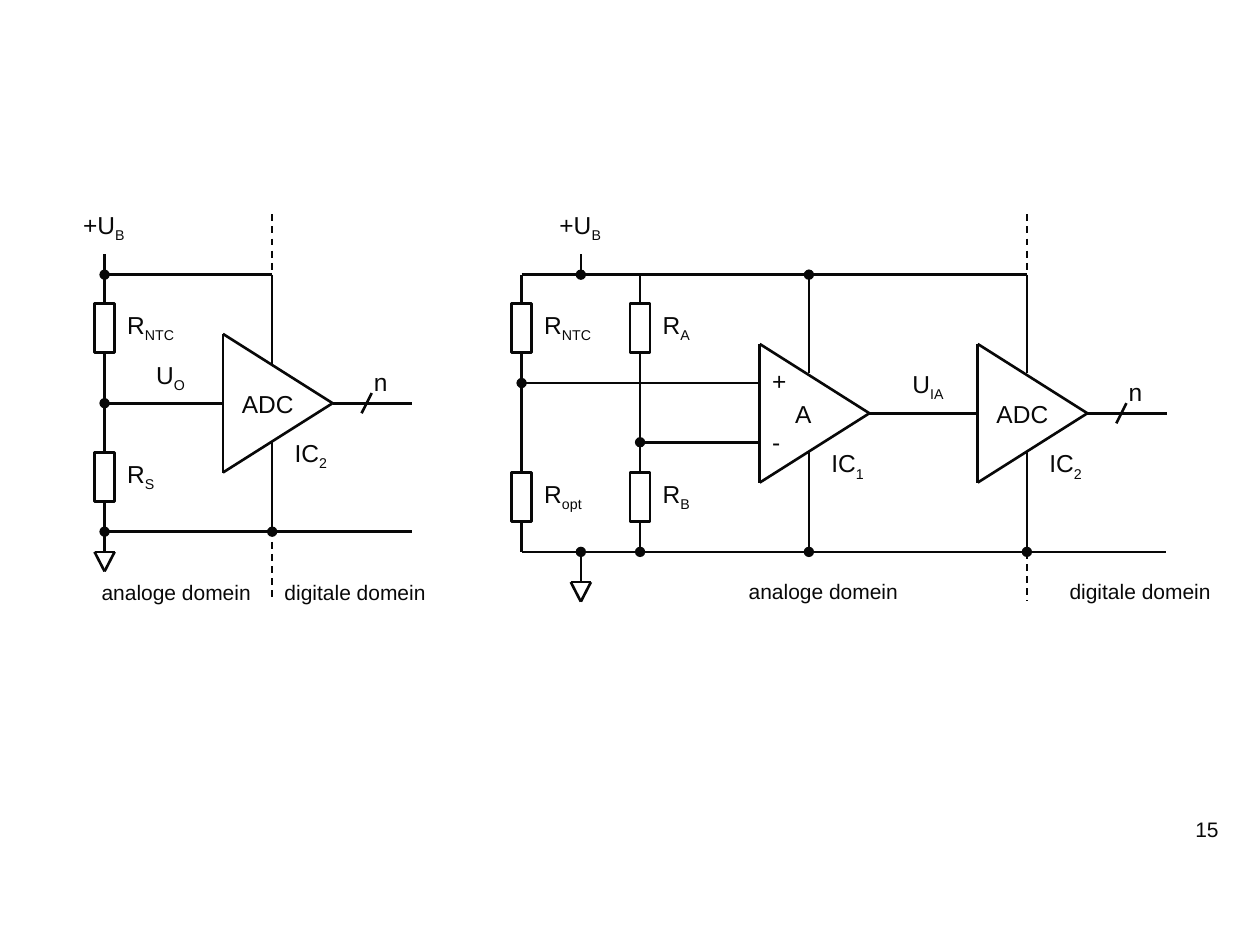
from pptx import Presentation
from pptx.dml.color import RGBColor
from pptx.enum.dml import MSO_LINE
from pptx.enum.shapes import MSO_CONNECTOR, MSO_SHAPE
from pptx.enum.text import MSO_ANCHOR, MSO_AUTO_SIZE, PP_ALIGN
from pptx.oxml.ns import qn
from pptx.util import Inches, Pt
from lxml.etree import SubElement

INK = "080808"
LEFT, MID, RIGHT = PP_ALIGN.LEFT, PP_ALIGN.CENTER, PP_ALIGN.RIGHT

deck = Presentation()
deck.slide_width, deck.slide_height = Inches(10), Inches(7.5)
slide = deck.slides.add_slide(deck.slide_layouts[6])
shapes = slide.shapes
ports = {}  # (x, y) of a resistor end -> (resistor, site)


def wire(x1, y1, x2, y2, dot=False, dash=False):
    """Draw a line, joined to any resistor end it meets; a dot marks its start."""
    link = shapes.add_connector(MSO_CONNECTOR.STRAIGHT, Inches(x1), Inches(y1),
                                Inches(x2), Inches(y2))
    if (x1, y1) in ports:
        link.begin_connect(*ports[x1, y1])
    if (x2, y2) in ports:
        link.end_connect(*ports[x2, y2])
    link.line.color.rgb = RGBColor.from_string(INK)
    link.line.width = Pt(1 if dash else 1.5)
    if dash:
        link.line.dash_style = MSO_LINE.DASH
    props = link._element.spPr
    if dot:
        SubElement(props.find(qn("a:ln")), qn("a:headEnd"), type="oval")
    SubElement(props, qn("a:effectLst"))


def label(x, y, w, h, text, sub="", align=LEFT, size=14, gap=8.8):
    """Write a label with an optional subscript."""
    box = shapes.add_textbox(Inches(x), Inches(y), Inches(w), Inches(h))
    frame = box.text_frame
    frame.word_wrap = True
    frame.vertical_anchor = MSO_ANCHOR.TOP
    if gap:
        frame.auto_size = MSO_AUTO_SIZE.SHAPE_TO_FIT_TEXT
    par = frame.paragraphs[0]
    par.text = text
    par.alignment = align
    par.space_before = Pt(gap)
    if sub:
        run = par.add_run()
        run.text = sub
        run.font._element.set("baseline", "-25000")
    for run in par.runs:
        run.font.name = "Arial"
        run.font.size = Pt(size)
        run.font.color.rgb = RGBColor.from_string(INK)


# Resistors: centre x, top, subscript
for x, y, sub in [(4.14, 2.41, "NTC"), (4.14, 3.75, "opt"),
                  (5.08, 2.41, "A"), (5.08, 3.75, "B"),
                  (0.83, 2.41, "NTC"), (0.83, 3.59, "S")]:
    part = shapes.add_shape(MSO_SHAPE.RECTANGLE, Inches(x - 0.08), Inches(y),
                            Inches(0.16), Inches(0.39))
    part.shadow.inherit = False
    part.fill.background()
    part.line.color.rgb = RGBColor.from_string(INK)
    part.line.width = Pt(1.5)
    ports[x, y] = part, 0
    ports[x, round(y + 0.39, 2)] = part, 2
    label(x + 0.08, y, 0.71, 0.37, "R", sub)

# Amplifier and converters: left edge, axis, text, text x and width, IC number
for x, y, text, dx, w, num in [(6.03, 3.28, "A", 0.15, 0.39, "1"),
                               (7.76, 3.28, "ADC", -0.08, 0.87, "2"),
                               (1.77, 3.2, "ADC", -0.08, 0.87, "2")]:
    top, low, tip = y - 0.55, y + 0.55, x + 0.87
    wire(x, top, x, low)
    wire(x, top, tip, y)
    wire(x, low, tip, y)
    label(x + dx, y - 0.16, w, 0.34, text, align=MID)
    label(x + 0.47, y + 0.23, 0.71, 0.37, "IC", num)

# Ground symbols: centre x, top
for x, y in [(4.61, 4.62), (0.83, 4.38)]:
    wire(x - 0.08, y, x + 0.08, y)
    for side in (-0.08, 0.08):
        wire(x + side, y, x, y + 0.155)

# Digital outputs with bus stroke: tip x, axis
for x, y in [(8.63, 3.28), (2.64, 3.2)]:
    wire(x, y, x + 0.63, y)
    wire(x + 0.23, y + 0.08, x + 0.31, y - 0.08)
    label(x + 0.23, y - 0.335, 0.24, 0.34, "n")

# Plain wires
for ends in [
    # bridge circuit
    (4.14, 2.18, 8.15, 2.18), (4.14, 2.18, 4.14, 2.41),
    (4.14, 3.75, 4.14, 2.8), (4.14, 4.38, 4.14, 4.14),
    (5.08, 4.38, 4.14, 4.38), (5.08, 2.18, 5.08, 2.41),
    (5.08, 2.8, 5.08, 3.75), (9.25, 4.38, 5.08, 4.38),
    (6.9, 3.28, 7.76, 3.28), (8.15, 2.18, 8.15, 2.96),
    # divider circuit
    (0.83, 2.8, 0.83, 3.2), (0.83, 3.2, 1.77, 3.2),
    (0.83, 2.02, 0.83, 2.41), (0.83, 4.22, 0.83, 3.98),
    (3.27, 4.22, 0.83, 4.22), (2.16, 2.18, 2.16, 2.89),
]:
    wire(*ends)

# Wires that start at a junction dot
for ends in [
    (4.61, 2.18, 4.61, 2.02), (4.61, 4.38, 4.61, 4.62),
    (4.14, 3.04, 6.03, 3.04), (5.08, 3.51, 6.03, 3.51),
    (5.08, 4.38, 5.08, 4.14), (6.42, 2.18, 6.42, 2.96),
    (6.42, 4.38, 6.42, 3.59), (8.15, 4.38, 8.15, 3.59),
    (0.83, 2.18, 2.16, 2.18), (0.83, 3.2, 0.83, 3.59),
    (0.83, 4.22, 0.83, 4.38), (2.16, 4.22, 2.16, 3.51),
]:
    wire(*ends, dot=True)

# Borders between the domains
for x, low in [(8.15, 4.38), (2.16, 4.3)]:
    wire(x, 1.7, x, 2.18, dash=True)
    wire(x, low, x, 4.77, dash=True)

# Voltages and amplifier inputs
for x in (4.29, 0.51):
    label(x, 1.62, 0.63, 0.37, "+U", "B", MID)
label(6.97, 2.88, 0.79, 0.37, "U", "IA", MID)
label(1.14, 2.81, 0.47, 0.37, "U", "O")
label(6.03, 2.86, 0.39, 0.34, "+")
label(6.03, 3.34, 0.39, 0.34, "-")

# Domain names
for x, y, w, kind, align in [(5.63, 4.54, 1.81, "analoge", MID),
                             (8.39, 4.54, 1.34, "digitale", LEFT),
                             (0.67, 4.55, 1.42, "analoge", RIGHT),
                             (2.16, 4.55, 1.34, "digitale", LEFT)]:
    label(x, y, w, 0.3, kind + " domein", align=align, size=12, gap=7.5)

# Page number
label(7.44, 6.43, 2.33, 0.52, "15", align=RIGHT, size=12, gap=0)

deck.save("out.pptx")
